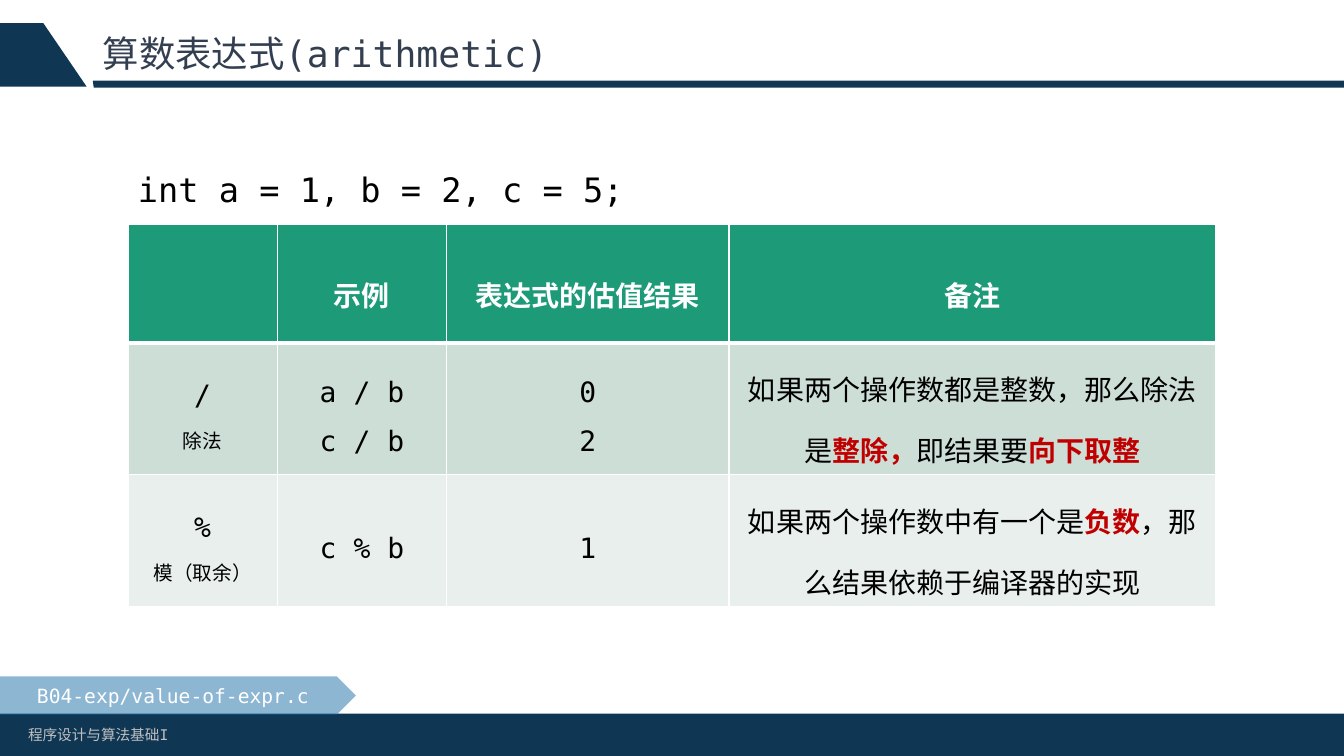
from dataclasses import dataclass

from lxml import etree
from pptx import Presentation
from pptx.dml.color import RGBColor
from pptx.enum.shapes import MSO_SHAPE
from pptx.enum.text import MSO_ANCHOR, PP_ALIGN
from pptx.oxml.ns import qn
from pptx.util import Inches, Pt

RECTANGLE, PENTAGON = MSO_SHAPE.RECTANGLE, MSO_SHAPE.PENTAGON
LEFT, CENTER = PP_ALIGN.LEFT, PP_ALIGN.CENTER
TOP, MIDDLE = MSO_ANCHOR.TOP, MSO_ANCHOR.MIDDLE


@dataclass(frozen=True)
class Theme:
    font: str = "DejaVu Sans Mono"
    navy: str = "0F3754"
    blue: str = "1D6FA9"
    title: str = "333F50"
    footer: str = "BFBFBF"
    white: str = "FFFFFF"
    black: str = "000000"
    red: str = "C00000"
    header: str = "1D9A78"
    bands: tuple = ("CDDED6", "E8EFEC")
    title_size: float = 26
    code_size: float = 24
    body_size: float = 20
    small_size: float = 14
    footer_size: float = 10.5


THEME = Theme()


def write(frame, paragraphs, size=THEME.body_size, color=THEME.black, bold=False,
          align=LEFT, anchor=TOP, spacing=None):
    """Each paragraph is a list of runs: a string, or (string, overrides)."""
    frame.word_wrap = True
    frame.vertical_anchor = anchor
    for index, runs in enumerate(paragraphs):
        paragraph = frame.add_paragraph() if index else frame.paragraphs[0]
        paragraph.alignment = align
        if spacing:
            paragraph.line_spacing = spacing
        for item in runs:
            text, changes = (item, {}) if isinstance(item, str) else item
            style = {"size": size, "color": color, "bold": bold, **changes}
            run = paragraph.add_run()
            run.text = text
            run.font.name = THEME.font
            run.font.size = Pt(style["size"])
            run.font.bold = style["bold"]
            run.font.color.rgb = RGBColor.from_string(style["color"])


class SlideBuilder:
    def __init__(self, slide, theme):
        self.slide = slide
        self.theme = theme

    def paint(self, shape, color, alpha=None):
        shape.shadow.inherit = False
        shape.fill.solid()
        shape.fill.fore_color.rgb = RGBColor.from_string(color)
        shape.line.fill.background()
        if alpha is not None:
            tint = shape.fill._xPr.find(".//" + qn("a:srgbClr"))
            etree.SubElement(tint, qn("a:alpha"), val=str(alpha * 1000))
        return shape

    def outline(self, points, color):
        corners = [(Inches(x), Inches(y)) for x, y in points]
        builder = self.slide.shapes.build_freeform(*corners[0])
        builder.add_line_segments(corners[1:], close=True)
        return self.paint(builder.convert_to_shape(), color)

    def shape(self, preset, box, color, alpha=None):
        shape = self.slide.shapes.add_shape(preset, *map(Inches, box))
        return self.paint(shape, color, alpha)

    def text(self, box, text, **style):
        frame = self.slide.shapes.add_textbox(*map(Inches, box)).text_frame
        write(frame, [[text]], **style)

    def borders(self, cell, bottom):
        properties = cell._tc.get_or_add_tcPr()
        widths = {"lnL": 1, "lnR": 1, "lnT": 1, "lnB": bottom}
        for position, (side, width) in enumerate(widths.items()):
            line = etree.Element(qn("a:" + side), w=str(Pt(width)))
            fill = etree.SubElement(line, qn("a:solidFill"))
            etree.SubElement(fill, qn("a:srgbClr"), val=self.theme.white)
            properties.insert(position, line)

    def table(self, left, top, widths, heights, rows):
        box = (left, top, sum(widths), sum(heights))
        table = self.slide.shapes.add_table(
            len(rows), len(widths), *map(Inches, box)).table
        for column, width in zip(table.columns, widths):
            column.width = Inches(width)
        for row, height in zip(table.rows, heights):
            row.height = Inches(height)
        for r, contents in enumerate(rows):
            is_header = r == 0
            fill = self.theme.header if is_header else self.theme.bands[(r - 1) % 2]
            for c, paragraphs in enumerate(contents):
                cell = table.cell(r, c)
                cell.fill.solid()
                cell.fill.fore_color.rgb = RGBColor.from_string(fill)
                self.borders(cell, bottom=3 if is_header else 1)
                cell.vertical_anchor = MIDDLE
                write(cell.text_frame, paragraphs, bold=is_header,
                      color=self.theme.white if is_header else self.theme.black,
                      align=CENTER, anchor=MIDDLE, spacing=1.5)


def main():
    deck = Presentation()
    deck.slide_width, deck.slide_height = Inches(13.33), Inches(7.5)
    page = SlideBuilder(deck.slides.add_slide(deck.slide_layouts[6]), THEME)

    # Heading band and footer
    page.outline([(0.92, 0.8), (13.33, 0.8), (13.33, 0.87), (0.93, 0.87)], THEME.navy)
    page.outline([(0.43, 0.23), (0.86, 0.86), (0, 0.86), (0, 0.23)], THEME.navy)
    page.shape(RECTANGLE, (0, 7.08, 13.33, 0.42), THEME.navy)
    page.text((0.18, 7.15, 4.32, 0.29), "程序设计与算法基础I",
              size=THEME.footer_size, color=THEME.footer)
    page.text((0.92, 0.23, 11.5, 0.64), "算数表达式(arithmetic)",
              size=THEME.title_size, color=THEME.title, anchor=MIDDLE, spacing=0.9)

    # Operators and their results
    small = {"size": THEME.small_size}
    key = {"color": THEME.red, "bold": True}
    operators = [
        [[], [["示例"]], [["表达式的估值结果"]], [["备注"]]],
        [[["/"], [("除法", small)]],
         [["a / b"], ["c / b"]],
         [["0"], ["2"]],
         [["如果两个操作数都是整数，那么除法是", ("整除，", key),
           "即结果要", ("向下取整", key)]]],
        [[["%"], [("模（取余）", small)]],
         [["c % b"]],
         [["1"]],
         [["如果两个操作数中有一个是", ("负数", key),
           "，那么结果依赖于编译器的实现"]]],
    ]
    page.table(1.27, 2.23, (1.48, 1.68, 2.8, 4.83), (1.17, 1.31, 1.31), operators)

    # Declaration and source file
    page.text((1.27, 1.63, 5.4, 0.5), "int a = 1, b = 2, c = 5;", size=THEME.code_size)
    file_tag = page.shape(PENTAGON, (0, 6.71, 3.53, 0.38), THEME.blue, alpha=50)
    write(file_tag.text_frame, [["B04-exp/value-of-expr.c"]], size=THEME.small_size,
          color=THEME.white, align=CENTER, anchor=MIDDLE)

    deck.save("out.pptx")


if __name__ == "__main__":
    main()
